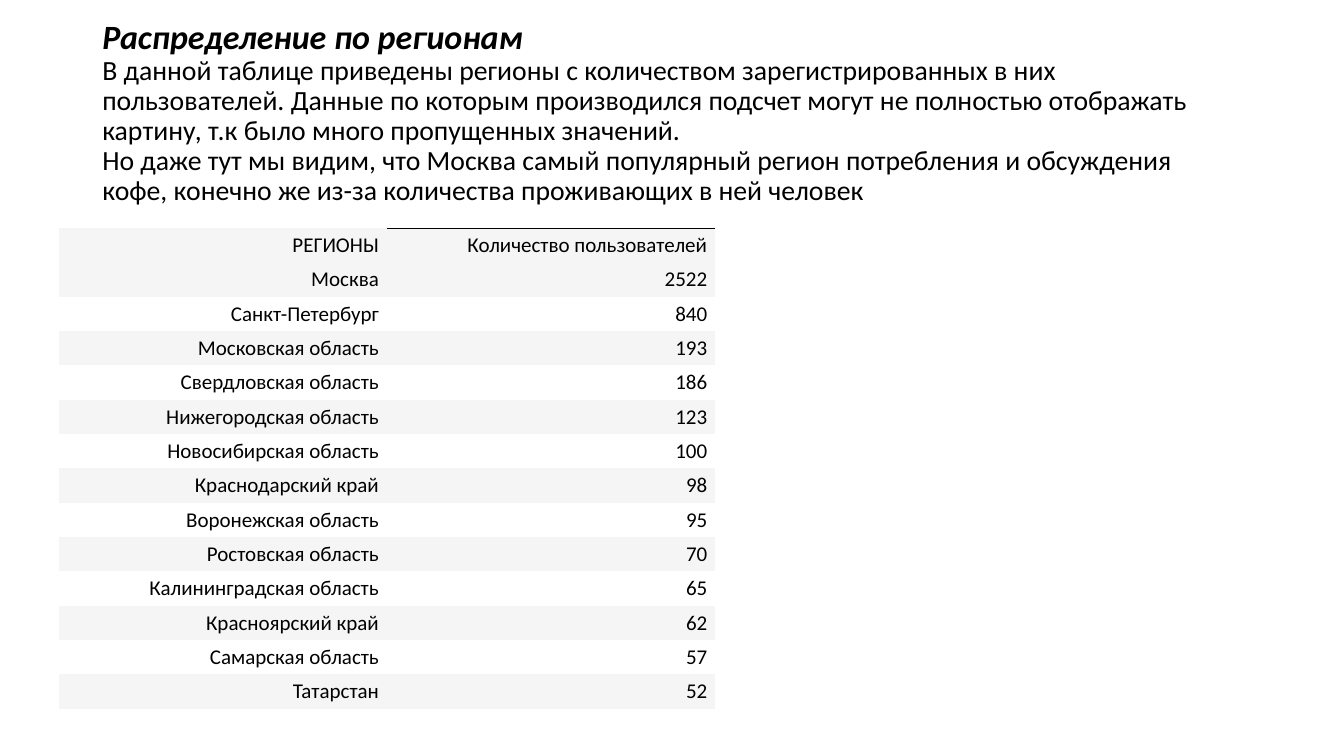
from dataclasses import dataclass

from lxml.etree import SubElement
from pptx import Presentation
from pptx.dml.color import RGBColor
from pptx.enum.text import MSO_ANCHOR, PP_ALIGN
from pptx.oxml.ns import qn
from pptx.util import Pt

FONT = "Calibri"
BLACK, WHITE, BAND = "000000", "FFFFFF", "F5F5F5"
COLUMN_WIDTH, ROW_HEIGHT = 234.5, 24.53
SIDE_INSET, EDGE_INSET = 5.8, 2.9


@dataclass
class Passage:
    text: str
    size: float
    emphasis: bool = False


@dataclass
class Region:
    name: str
    users: str


def color(hex_code: str) -> RGBColor:
    return RGBColor.from_string(hex_code)


def add_passage(paragraph, passage: Passage) -> None:
    run = paragraph.add_run()
    run.text = passage.text
    run.font.name = FONT
    run.font.size = Pt(passage.size)
    run.font.bold = run.font.italic = passage.emphasis
    run.font.color.rgb = color(BLACK)


def set_borders(cell, top_rule: bool) -> None:
    """Clear the cell borders, keeping a black top rule if asked."""
    properties = cell._tc.get_or_add_tcPr()
    for position, side in enumerate(("lnL", "lnR", "lnT", "lnB")):
        ruled = top_rule and side == "lnT"
        border = SubElement(properties, qn(f"a:{side}"), w=str(Pt(0.75 if ruled else 0)))
        if ruled:
            fill = SubElement(border, qn("a:solidFill"))
            SubElement(fill, qn("a:srgbClr"), val=BLACK)
        else:
            SubElement(border, qn("a:noFill"))
        properties.insert(position, border)


def fill_cell(cell, text: str, background: str, top_rule: bool) -> None:
    cell.fill.solid()
    cell.fill.fore_color.rgb = color(background)
    cell.vertical_anchor = MSO_ANCHOR.MIDDLE
    cell.margin_left = cell.margin_right = Pt(SIDE_INSET)
    cell.margin_top = cell.margin_bottom = Pt(EDGE_INSET)
    paragraph = cell.text_frame.paragraphs[0]
    paragraph.alignment = PP_ALIGN.RIGHT
    add_passage(paragraph, Passage(text, 15))
    set_borders(cell, top_rule)


introduction = [
    Passage("Распределение по регионам", 24.3, emphasis=True),
    Passage("В данной таблице приведены регионы с количеством зарегистрированных в них "
            "пользователей. Данные по которым производился подсчет могут не полностью "
            "отображать картину, т.к было много пропущенных значений.", 19.8),
    Passage("Но даже тут мы видим, что Москва самый популярный регион потребления и "
            "обсуждения кофе, конечно же из-за количества проживающих в ней человек", 19.8),
]
regions = [
    Region("РЕГИОНЫ", "Количество пользователей"),
    Region("Москва", "2522"),
    Region("Санкт-Петербург", "840"),
    Region("Московская область", "193"),
    Region("Свердловская область", "186"),
    Region("Нижегородская область", "123"),
    Region("Новосибирская область", "100"),
    Region("Краснодарский край", "98"),
    Region("Воронежская область", "95"),
    Region("Ростовская область", "70"),
    Region("Калининградская область", "65"),
    Region("Красноярский край", "62"),
    Region("Самарская область", "57"),
    Region("Татарстан", "52"),
]

presentation = Presentation()
presentation.slide_width, presentation.slide_height = Pt(960), Pt(540)
slide = presentation.slides.add_slide(presentation.slide_layouts[6])

# Heading and introduction
frame = slide.shapes.add_textbox(Pt(66), Pt(28.75), Pt(828), Pt(104.4)).text_frame
frame.word_wrap = True
frame.vertical_anchor = MSO_ANCHOR.MIDDLE
story = frame.paragraphs[0]
story.line_spacing = 0.9
for index, passage in enumerate(introduction):
    if index:
        story.add_line_break()
    add_passage(story, passage)

# Users by region, banded below the header
table = slide.shapes.add_table(len(regions), 2, Pt(42), Pt(163), Pt(2 * COLUMN_WIDTH),
                               Pt(len(regions) * ROW_HEIGHT)).table
table.first_row = table.horz_banding = False
for column in table.columns:
    column.width = Pt(COLUMN_WIDTH)
for index, region in enumerate(regions):
    table.rows[index].height = Pt(ROW_HEIGHT)
    background = BAND if index == 0 or index % 2 else WHITE
    fill_cell(table.cell(index, 0), region.name, background, top_rule=False)
    fill_cell(table.cell(index, 1), region.users, background, top_rule=index == 0)

presentation.save("out.pptx")
